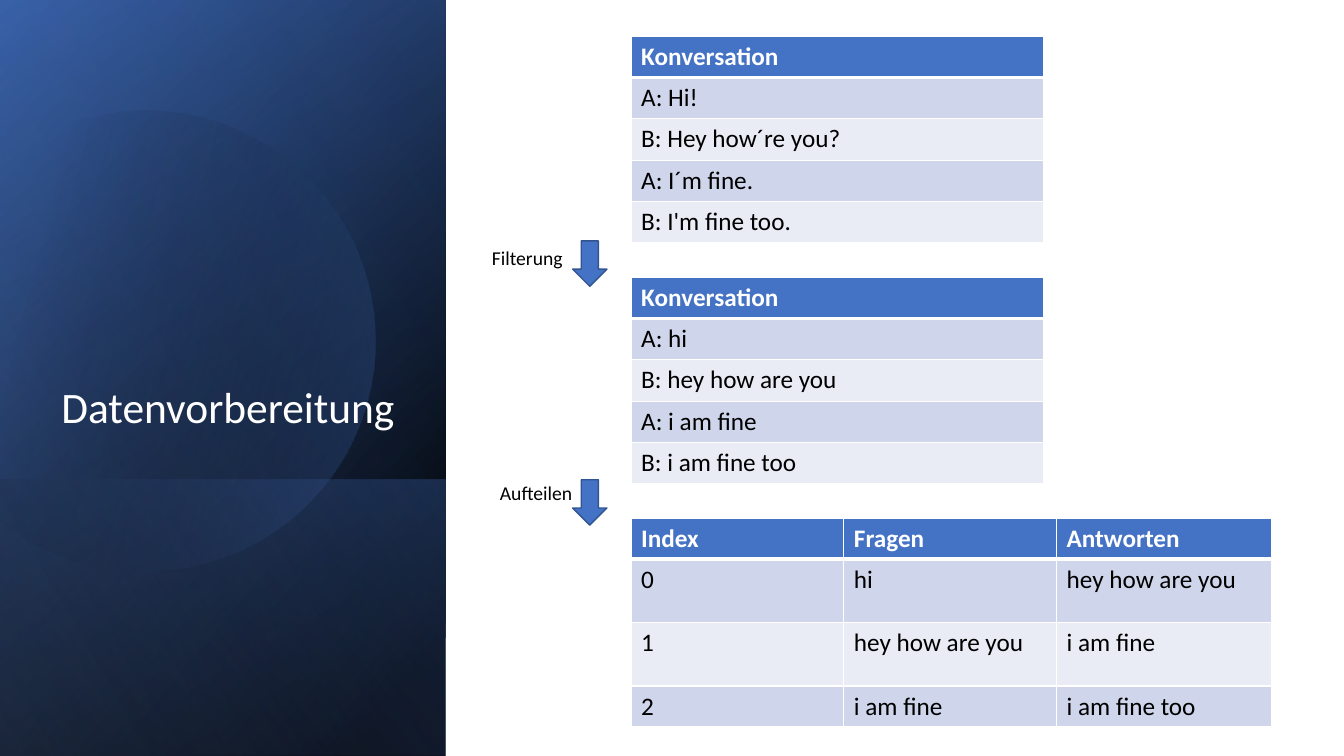
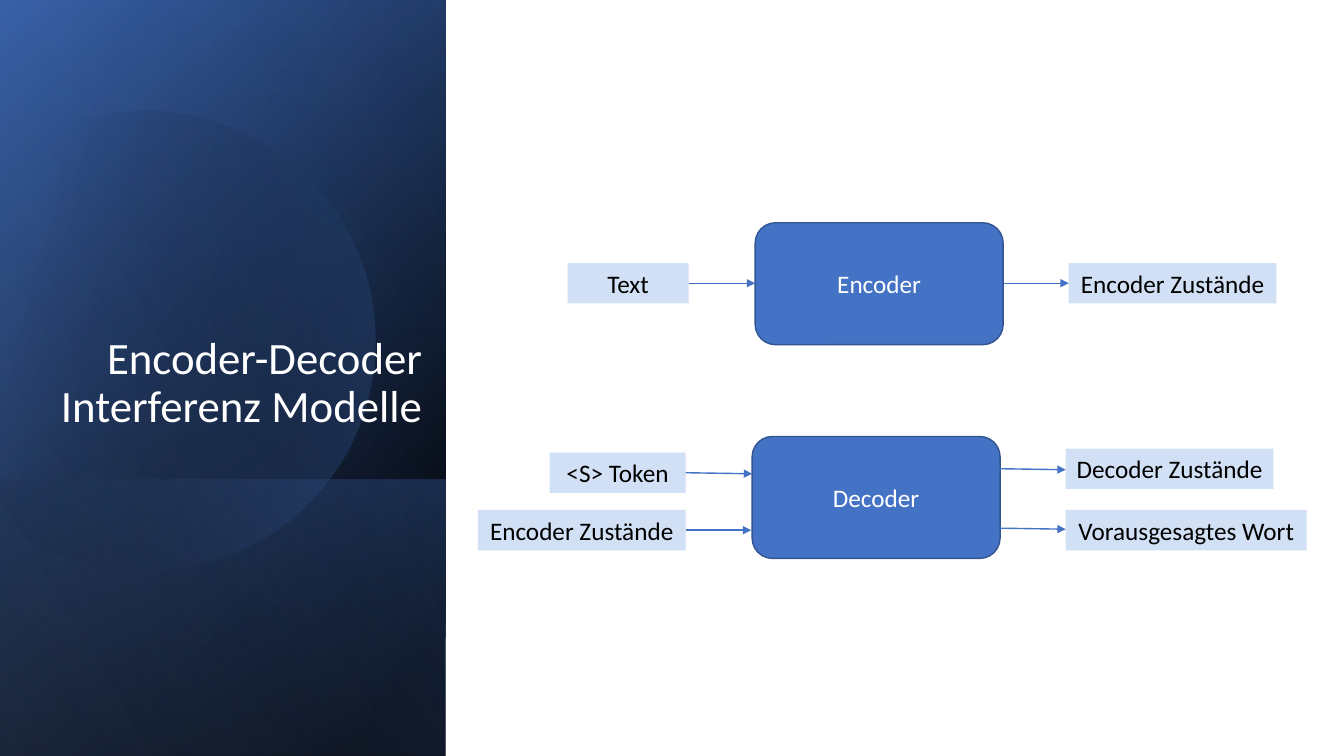
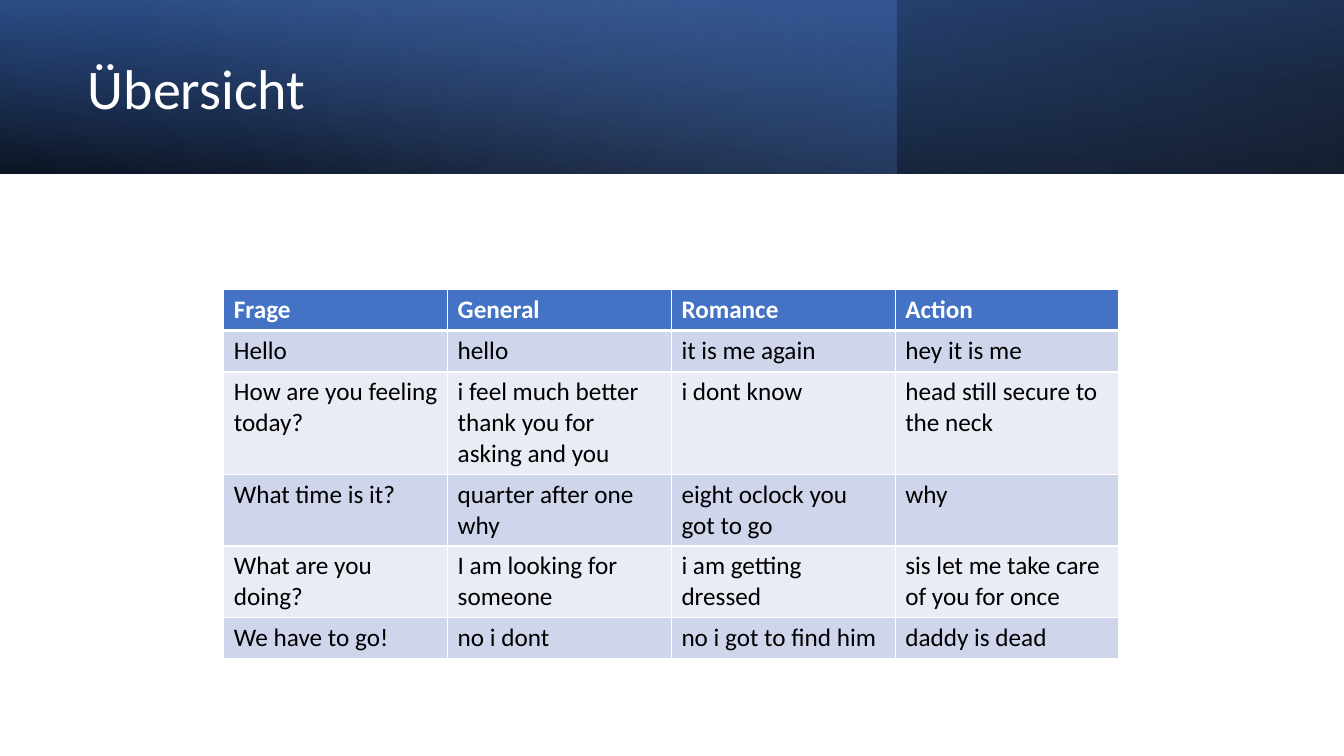
"""Builds three slides about preparing data for an encoder-decoder chatbot."""
import math
from dataclasses import dataclass
from typing import Any, Optional, Sequence

import pptx
import pptx.dml.color
import pptx.enum.shapes
import pptx.enum.text
import pptx.oxml
import pptx.oxml.ns
import pptx.util
from lxml import etree

Inches = pptx.util.Inches
Pt = pptx.util.Pt
qn = pptx.oxml.ns.qn
Shapes = pptx.enum.shapes.MSO_SHAPE
Align = pptx.enum.text.PP_ALIGN
Anchor = pptx.enum.text.MSO_ANCHOR
AutoSize = pptx.enum.text.MSO_AUTO_SIZE

FONT = "Calibri"
WHITE, BLACK = "FFFFFF", "000000"
BLUE, DARK_BLUE, SOFT_BLUE, OUTLINE = "4472C4", "2F5597", "8FAADC", "325491"
LABEL_BLUE = "1B66CE"
ROW_FILLS = ("CFD5EA", "E9EBF5")
LABEL_HEIGHT = 0.4
BLOCK_WIDTH, BLOCK_HEIGHT = 2.46, 1.21


@dataclass(frozen=True)
class Box:
    """A frame in inches."""
    left: float
    top: float
    width: float
    height: float

    def lengths(self) -> tuple:
        """Return the four lengths for python-pptx."""
        return tuple(Inches(n) for n in (self.left, self.top, self.width, self.height))


@dataclass(frozen=True)
class Stop:
    """A gradient stop: position, colour and opacity in percent."""
    position: int
    colour: str
    opacity: int = 100


@dataclass(frozen=True)
class Band:
    """A gradient rectangle of the decoration."""
    box: Box
    stops: tuple[Stop, Stop]
    angle: int
    rotation: float = 0
    flipped: bool = True


@dataclass(frozen=True)
class Label:
    """A pale input or output label of a model."""
    text: str
    left: float
    top: float
    width: float


@dataclass(frozen=True)
class Arrow:
    """An arrow between two points."""
    start: tuple[float, float]
    end: tuple[float, float]


@dataclass(frozen=True)
class Step:
    """A named processing step with its down arrow."""
    text: str
    text_left: float
    text_top: float
    arrow_top: float


SIDE_BOX = Box(-1.54, 1.54, 7.5, 4.42)
SIDE_BANDS = (
    Band(SIDE_BOX, (Stop(8, BLACK), Stop(100, DARK_BLUE)), 50, 90),
    Band(SIDE_BOX, (Stop(0, BLACK, 0), Stop(99, BLUE, 46)), 30, 90),
    Band(Box(0.84, 3.92, 2.74, 4.42), (Stop(2, BLUE, 29), Stop(100, BLACK, 30)), 130, 90),
)
SIDE_GLOSS = Band(SIDE_BOX, (Stop(0, BLACK, 0), Stop(99, SOFT_BLUE, 11)), 120, 90)
TOP_BOX = Box(0, 0, 13.33, 1.72)
TOP_BANDS = (
    Band(TOP_BOX, (Stop(0, BLACK, 96), Stop(100, DARK_BLUE)), 100, 180),
    Band(Box(0, 0, 8.89, 1.72), (Stop(0, BLUE, 41), Stop(74, SOFT_BLUE, 0)), 140, 0, False),
    Band(TOP_BOX, (Stop(0, BLACK, 63), Stop(78, BLUE, 15)), 260),
)

DISC_ROTATION = 343.9
DISC_CENTRE = (1.585, 3.345)
DISC_STOPS = (Stop(29, BLACK, 0), Stop(100, BLUE, 43))
DISC_START = (1.49, 1.1)
# Each entry ends at its last point: three points are a curve, one is a line.
DISC_SEGMENTS = (
    ((2.46, 1.12), (3.35, 1.77), (3.63, 2.75)),
    ((3.98, 3.97), (3.28, 5.23), (2.07, 5.58)),
    ((1.31, 5.8), (0.53, 5.61), (-0.03, 5.14)),
    ((-0.15, 5.03),),
    ((-0.15, 1.75),),
    ((0, 1.61),),
    ((0.23, 1.42), (0.5, 1.28), (0.8, 1.19)),
    ((1.03, 1.13), (1.26, 1.1), (1.49, 1.1)),
)


def colour(code: str) -> pptx.dml.color.RGBColor:
    """Turn a hex string into a colour."""
    return pptx.dml.color.RGBColor.from_string(code)


def set_opacity(shape: Any, opacities: Sequence[int]) -> None:
    """Give the fill colours of a shape their opacity in percent."""
    for element, opacity in zip(shape._element.spPr.iter(qn("a:srgbClr")), opacities):
        if opacity < 100:
            etree.SubElement(element, qn("a:alpha")).set("val", str(opacity * 1000))


def fill_gradient(shape: Any, stops: tuple[Stop, Stop], angle: int) -> None:
    """Fill a shape with a linear gradient and drop its outline and shadow."""
    shape.shadow.inherit = False
    shape.line.fill.background()
    shape.fill.gradient()
    shape.fill.gradient_angle = 360 - angle
    for target, stop in zip(shape.fill.gradient_stops, stops):
        target.position = stop.position / 100
        target.color.rgb = colour(stop.colour)
    set_opacity(shape, [stop.opacity for stop in stops])


def add_text(frame: Any, text: str, size: float, code: str, bold: bool = False,
             align: Optional[Any] = None) -> Any:
    """Write one run into the first paragraph and return the paragraph."""
    paragraph = frame.paragraphs[0]
    paragraph.alignment = align
    run = paragraph.add_run()
    run.text = text
    run.font.name = FONT
    run.font.size = Pt(size)
    run.font.bold = bold
    run.font.color.rgb = colour(code)
    return paragraph


def add_solid(slide: Any, kind: Any, box: Box, fill: str, line: Optional[str] = None) -> Any:
    """Add a preset shape with a plain fill and an optional outline."""
    shape = slide.shapes.add_shape(kind, *box.lengths())
    shape.shadow.inherit = False
    shape.fill.solid()
    shape.fill.fore_color.rgb = colour(fill)
    if line:
        shape.line.color.rgb = colour(line)
        shape.line.width = Pt(1)
    else:
        shape.line.fill.background()
    return shape


def add_band(slide: Any, band: Band) -> None:
    """Add one gradient rectangle."""
    shape = slide.shapes.add_shape(Shapes.RECTANGLE, *band.box.lengths())
    fill_gradient(shape, band.stops, band.angle)
    shape.rotation = band.rotation
    if band.flipped:
        shape._element.spPr.xfrm.set("flipH", "1")


def disc_points(steps: int = 24) -> list[tuple[float, float]]:
    """Return the disc outline, turned back to its unrotated position."""
    points = [DISC_START]
    for segment in DISC_SEGMENTS:
        if len(segment) == 1:
            points.append(segment[0])
            continue
        controls = (points[-1], *segment)
        for step in range(1, steps + 1):
            t = step / steps
            weights = [math.comb(3, i) * t**i * (1 - t)**(3 - i) for i in range(4)]
            points.append(tuple(sum(w * point[axis] for w, point in zip(weights, controls))
                                for axis in (0, 1)))
    turn = math.radians(360 - DISC_ROTATION)
    cos, sin = math.cos(turn), math.sin(turn)
    centre_x, centre_y = DISC_CENTRE
    return [(centre_x + (x - centre_x) * cos - (y - centre_y) * sin,
             centre_y + (x - centre_x) * sin + (y - centre_y) * cos) for x, y in points]


def add_disc(slide: Any) -> None:
    """Add the translucent disc of the side panel."""
    start, *others = [(Inches(x), Inches(y)) for x, y in disc_points()]
    builder = slide.shapes.build_freeform(*start)
    builder.add_line_segments(others, close=True)
    disc = builder.convert_to_shape()
    fill_gradient(disc, DISC_STOPS, 30)
    disc.rotation = DISC_ROTATION


def set_title(slide: Any, text: str, box: Box, size: float, anchor: Any, align: Any,
              left_margin: float = 0.1) -> None:
    """Place and format the title above the decoration."""
    title = slide.shapes.title
    slide.shapes._spTree.append(title._element)
    title.left, title.top, title.width, title.height = box.lengths()
    frame = title.text_frame
    frame.word_wrap = True
    frame.auto_size = AutoSize.NONE
    frame.vertical_anchor = anchor
    frame.margin_left = Inches(left_margin)
    add_text(frame, text, size, WHITE, align=align).line_spacing = 0.9


def add_side_slide(presentation: Any, title: str, width: float, size: float) -> Any:
    """Add a slide with the side panel and its title."""
    slide = presentation.slides.add_slide(presentation.slide_layouts[5])
    add_solid(slide, Shapes.RECTANGLE, Box(0, 0, 13.33, 7.5), WHITE)
    for band in SIDE_BANDS:
        add_band(slide, band)
    add_disc(slide)
    add_band(slide, SIDE_GLOSS)
    # Without a left margin the longest word stays on one line.
    set_title(slide, title, Box(0.51, 0.64, width, 3.7), size, Anchor.BOTTOM, Align.RIGHT, 0)
    return slide


def add_top_slide(presentation: Any, title: str) -> Any:
    """Add a slide with the top band and its title."""
    slide = presentation.slides.add_slide(presentation.slide_layouts[5])
    for band in TOP_BANDS:
        add_band(slide, band)
    set_title(slide, title, Box(0.77, 0.27, 7.72, 1.27), 40, Anchor.MIDDLE, Align.LEFT)
    return slide


def set_borders(cell: Any, row: int) -> None:
    """Draw white cell borders, thick between header and body."""
    widths = {"L": 1, "R": 1, "T": 3 if row == 1 else 1, "B": 3 if row == 0 else 1}
    properties = cell._tc.get_or_add_tcPr()
    for index, (side, width) in enumerate(widths.items()):
        border = etree.Element(qn(f"a:ln{side}"), w=str(Pt(width)))
        fill = etree.SubElement(border, qn("a:solidFill"))
        etree.SubElement(fill, qn("a:srgbClr")).set("val", WHITE)
        properties.insert(index, border)


def add_table(slide: Any, left: float, top: float, widths: Sequence[float],
              heights: Sequence[float], rows: Sequence[Sequence[str]]) -> None:
    """Add a table with a blue header and banded rows."""
    box = Box(left, top, sum(widths), sum(heights))
    table = slide.shapes.add_table(len(rows), len(widths), *box.lengths()).table
    for column, width in zip(table.columns, widths):
        column.width = Inches(width)
    for row_index, (values, height) in enumerate(zip(rows, heights)):
        table.rows[row_index].height = Inches(height)
        header = row_index == 0
        for column_index, value in enumerate(values):
            cell = table.cell(row_index, column_index)
            cell.fill.solid()
            cell.fill.fore_color.rgb = colour(BLUE if header else ROW_FILLS[(row_index - 1) % 2])
            add_text(cell.text_frame, value, 18, WHITE if header else BLACK, header)
            set_borders(cell, row_index)


def add_step(slide: Any, step: Step) -> None:
    """Add a step name and its down arrow."""
    add_solid(slide, Shapes.DOWN_ARROW, Box(5.68, step.arrow_top, 0.34, 0.45), BLUE, OUTLINE)
    box = Box(step.text_left, step.text_top, 1.16, 0.34)
    frame = slide.shapes.add_textbox(*box.lengths()).text_frame
    frame.word_wrap = True
    frame.auto_size = AutoSize.SHAPE_TO_FIT_TEXT
    add_text(frame, step.text, 14, BLACK)


def add_model(slide: Any, text: str, left: float, top: float) -> None:
    """Add a rounded model block."""
    box = Box(left, top, BLOCK_WIDTH, BLOCK_HEIGHT)
    block = add_solid(slide, Shapes.ROUNDED_RECTANGLE, box, BLUE, OUTLINE)
    block.text_frame.vertical_anchor = Anchor.MIDDLE
    add_text(block.text_frame, text, 18, WHITE, align=Align.CENTER)


def add_label(slide: Any, label: Label) -> None:
    """Add a pale label."""
    box = Box(label.left, label.top, label.width, LABEL_HEIGHT)
    shape = add_solid(slide, Shapes.RECTANGLE, box, LABEL_BLUE)
    set_opacity(shape, [20])
    frame = shape.text_frame
    frame.word_wrap = True
    frame.auto_size = AutoSize.SHAPE_TO_FIT_TEXT
    frame.vertical_anchor = Anchor.TOP
    add_text(frame, label.text, 18, BLACK, align=Align.CENTER)


def add_arrow(slide: Any, arrow: Arrow) -> None:
    """Add a straight connector with a triangle at its end."""
    ends = [Inches(n) for n in (*arrow.start, *arrow.end)]
    connector = slide.shapes.add_connector(pptx.enum.shapes.MSO_CONNECTOR.STRAIGHT, *ends)
    connector.line.color.rgb = colour(BLUE)
    connector.line.width = Pt(1)
    etree.SubElement(connector.line._get_or_add_ln(), qn("a:tailEnd")).set("type", "triangle")
    etree.SubElement(connector._element.spPr, qn("a:effectLst"))


def build_preparation(presentation: Any) -> None:
    """Build the slide on data preparation."""
    slide = add_side_slide(presentation, "Datenvorbereitung", 3.5, 31)
    add_table(slide, 6.26, 5.14, (2.11, 2.11, 2.13), (0.37, 0.63, 0.63, 0.37), (
        ("Index", "Fragen", "Antworten"),
        ("0", "hi", "hey how are you"),
        ("1", "hey how are you", "i am fine"),
        ("2", "i am fine", "i am fine too"),
    ))
    conversations = (
        (0.36, ("A: Hi!", "B: Hey how´re you?", "A: I´m fine.", "B: I'm fine too.")),
        (2.75, ("A: hi", "B: hey how are you", "A: i am fine", "B: i am fine too")),
    )
    for top, lines in conversations:
        rows = [(line,) for line in ("Konversation", *lines)]
        add_table(slide, 6.26, top, (4.09,), [0.41] * len(rows), rows)
    for step in (Step("Filterung", 4.78, 2.39, 2.39), Step("Aufteilen", 4.86, 4.72, 4.76)):
        add_step(slide, step)


def build_models(presentation: Any) -> None:
    """Build the slide on the encoder and decoder models."""
    slide = add_side_slide(presentation, "Encoder-Decoder Interferenz Modelle", 3.78, 32)
    add_model(slide, "Encoder", 7.49, 2.21)
    add_model(slide, "Decoder", 7.46, 4.33)
    for label in (
        Label("Text", 5.63, 2.61, 1.2),
        Label("Encoder Zustände", 10.6, 2.61, 2.06),
        Label("<S> Token", 5.45, 4.49, 1.35),
        Label("Encoder Zustände", 4.74, 5.06, 2.06),
        Label("Decoder Zustände", 10.57, 4.45, 2.06),
        Label("Vorausgesagtes Wort", 10.57, 5.06, 2.39),
    ):
        add_label(slide, label)
    for arrow in (
        Arrow((6.83, 2.81), (7.49, 2.81)),
        Arrow((9.95, 2.81), (10.6, 2.81)),
        Arrow((6.8, 4.69), (7.46, 4.7)),
        Arrow((6.8, 5.26), (7.45, 5.26)),
        Arrow((9.91, 4.65), (10.57, 4.66)),
        Arrow((9.91, 5.24), (10.57, 5.25)),
    ):
        add_arrow(slide, arrow)


def build_overview(presentation: Any) -> None:
    """Build the slide that compares the answers."""
    slide = add_top_slide(presentation, "Übersicht")
    rows = (
        ("Frage", "General", "Romance", "Action"),
        ("Hello", "hello", "it is me again", "hey it is me"),
        ("How are you feeling today?", "i feel much better thank you for asking and you",
         "i dont know", "head still secure to the neck"),
        ("What time is it?", "quarter after one why", "eight oclock you got to go", "why"),
        ("What are you doing?", "I am looking for someone", "i am getting dressed",
         "sis let me take care of you for once"),
        ("We have to go!", "no i dont", "no i got to find him", "daddy is dead"),
    )
    add_table(slide, 2.22, 2.87, [2.22] * 4, [0.41] * len(rows), rows)


def main() -> None:
    """Build and save the presentation."""
    presentation = pptx.Presentation()
    presentation.slide_width = Inches(13.33)
    presentation.slide_height = Inches(7.5)
    build_preparation(presentation)
    build_models(presentation)
    build_overview(presentation)
    presentation.save("out.pptx")


main()
